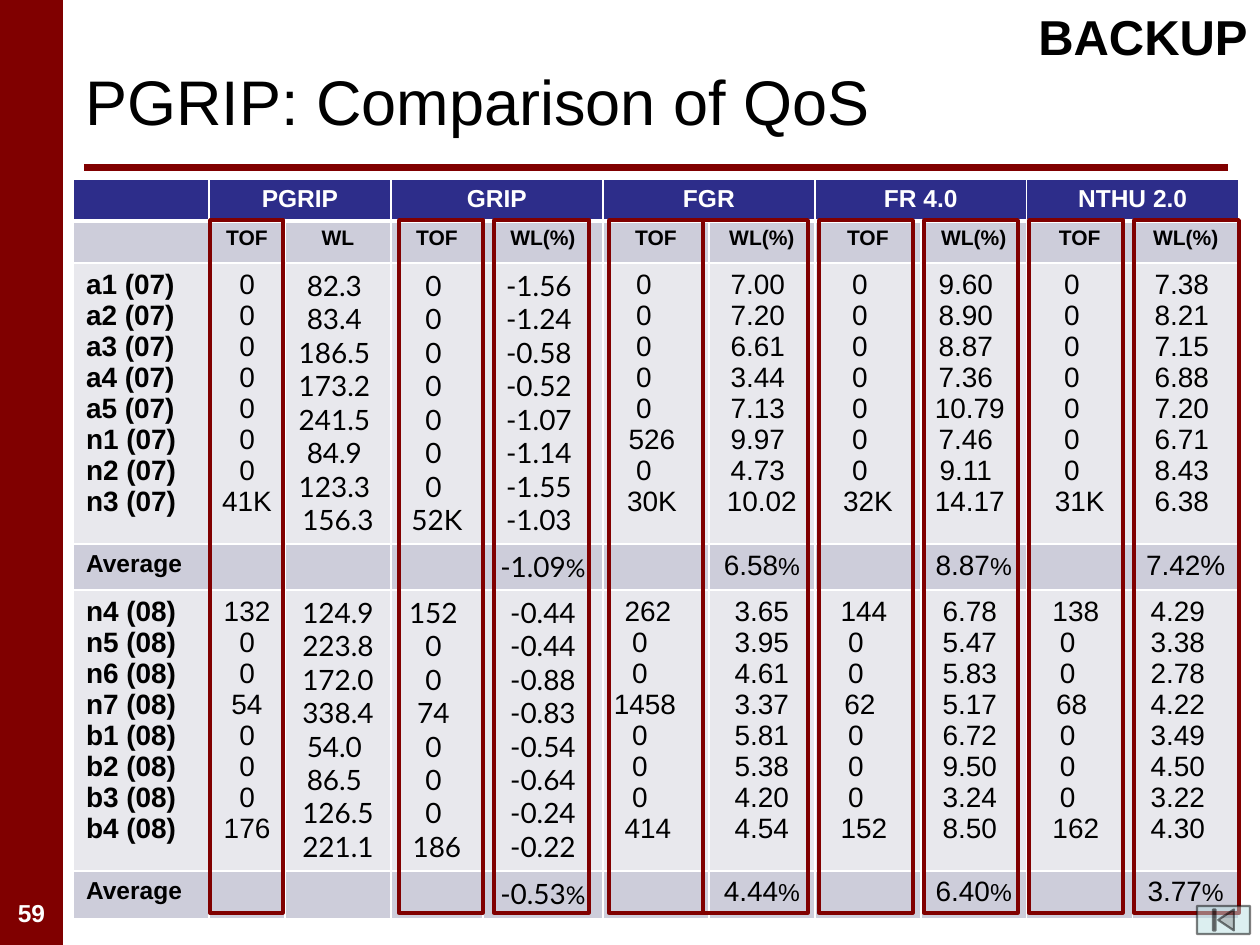
"""Build the PGRIP quality comparison slide."""
from dataclasses import dataclass

from lxml import etree
from pptx import Presentation
from pptx.dml.color import RGBColor
from pptx.enum.shapes import MSO_CONNECTOR, MSO_SHAPE
from pptx.enum.text import MSO_ANCHOR, PP_ALIGN
from pptx.oxml.ns import qn
from pptx.util import Emu, Pt

LEFT, CENTER, RIGHT = PP_ALIGN.LEFT, PP_ALIGN.CENTER, PP_ALIGN.RIGHT
TOP, MIDDLE = MSO_ANCHOR.TOP, MSO_ANCHOR.MIDDLE
RECTANGLE = MSO_SHAPE.RECTANGLE
BEGINNING_BUTTON = MSO_SHAPE.ACTION_BUTTON_BEGINNING
STRAIGHT = MSO_CONNECTOR.STRAIGHT


@dataclass(frozen=True)
class Theme:
    """Colours, fonts and type sizes of the slide."""

    maroon: str = "800000"
    navy: str = "2D2D8A"
    band: str = "CDCDDA"
    body: str = "E8E8ED"
    button: str = "BBE0E3"
    white: str = "FFFFFF"
    black: str = "000000"
    font: str = "Arial"
    data_font: str = "Lato"
    title: int = 36
    tag: int = 28
    values: int = 16
    labels: int = 14
    subheads: int = 12


THEME = Theme()
EMU_PER_PX = 914400 / 126
SPACE_PX, DIGIT_PX, DATA_WIDTH = 8, 16, 106
MARGIN_X, MARGIN_Y = 13, 6
COLUMN_WIDTHS = [136, 76, 106, 92, 120] + [DATA_WIDTH] * 6
ROW_HEIGHTS = [42, 42, 281, 46, 281, 48]
ROW_FILLS = [THEME.navy, THEME.band, THEME.body, THEME.band, THEME.body, THEME.band]
METHODS = ["PGRIP", "GRIP", "FGR", "FR 4.0", "NTHU 2.0"]
SUBHEADS = ["TOF", "WL"] + ["TOF", "WL(%)"] * 4
LATO_COLUMNS = (2, 3, 4)
HIGHLIGHTS = [(210, 73), (399, 84), (494, 95), (609, 94), (703, 105),
              (819, 94), (924, 94), (1029, 94), (1134, 105)]
NAMES = {2: "a1 a2 a3 a4 a5 n1 n2 n3", 4: "n4 n5 n6 n7 b1 b2 b3 b4"}
YEARS = {2: "07", 4: "08"}
BROKEN_LINES = {
    (2, 2): "82.3 \v83.4 \v186.5 \v173.2 \v241.5 \v84.9 \v123.3 \v156.3",
    (2, 3): "0 \v0 \v0 \v0 \v0 \v0 \v0 \v52K",
    (4, 2): "124.9\v223.8\v172.0\v338.4\v54.0 \v86.5 \v126.5\v221.1",
    (4, 3): "152 \v0 \v0 \v74 \v0 \v0 \v0 \v186",
}
VALUES = {
    (2, 1): ("0 0 0 0 0 0 0 41K", 0),
    (2, 4): ("-1.56 -1.24 -0.58 -0.52 -1.07 -1.14 -1.55 -1.03", 6),
    (2, 5): ("0 0 0 0 0 526 0 30K", 4),
    (2, 6): ("7.00 7.20 6.61 3.44 7.13 9.97 4.73 10.02", 5),
    (2, 7): ("0 0 0 0 0 0 0 32K", 3),
    (2, 8): ("9.60 8.90 8.87 7.36 10.79 7.46 9.11 14.17", 6),
    (2, 9): ("0 0 0 0 0 0 0 31K", 3),
    (2, 10): ("7.38 8.21 7.15 6.88 7.20 6.71 8.43 6.38", 5),
    (4, 1): ("132 0 0 54 0 0 0 176", 0),
    (4, 4): ("-0.44 -0.44 -0.88 -0.83 -0.54 -0.64 -0.24 -0.22", 0),
    (4, 5): ("262 0 0 1458 0 0 0 414", 5),
    (4, 6): ("3.65 3.95 4.61 3.37 5.81 5.38 4.20 4.54", 0),
    (4, 7): ("144 0 0 62 0 0 0 152", 4),
    (4, 8): ("6.78 5.47 5.83 5.17 6.72 9.50 3.24 8.50", 5),
    (4, 9): ("138 0 0 68 0 0 0 162", 4),
    (4, 10): ("4.29 3.38 2.78 4.22 3.49 4.50 3.22 4.30", 6),
}
AVERAGES = {3: ["-1.09", "6.58", "8.87", "7.42"], 5: ["-0.53", "4.44", "6.40", "3.77"]}


def px(length):
    """Turn pixels into EMU."""
    return Emu(round(length * EMU_PER_PX))


def add_run(paragraph, text, size, color=THEME.black, **formats):
    """Add text to a paragraph, with vertical tabs as line breaks."""
    for index, line in enumerate(text.split("\v")):
        if index:
            paragraph.add_line_break()
        run = paragraph.add_run()
        run.text = line
        settings = {"name": THEME.font, "bold": False, "size": Pt(size)} | formats
        for name, value in settings.items():
            setattr(run.font, name, value)
        run.font.color.rgb = RGBColor.from_string(color)


def add_text(slide, box, text, size, align=LEFT, anchor=TOP, **formats):
    """Add a one-line text box."""
    frame = slide.shapes.add_textbox(*map(px, box)).text_frame
    frame.word_wrap, frame.vertical_anchor = True, anchor
    frame.paragraphs[0].alignment = align
    add_run(frame.paragraphs[0], text, size, **formats)


def add_box(slide, kind, box, fill=None, line=None, width=2, alpha=None):
    """Add a preset shape with optional fill, outline and opacity percentage."""
    shape = slide.shapes.add_shape(kind, *map(px, box))
    shape.shadow.inherit = False
    for part, color in ((shape.fill, fill), (shape.line.fill, line)):
        if color is None:
            part.background()
        else:
            part.solid()
            part.fore_color.rgb = RGBColor.from_string(color)
    if line:
        shape.line.width = Pt(width)
    if alpha:
        for color in list(shape._element.spPr.iter(qn("a:srgbClr"))):
            etree.SubElement(color, qn("a:alpha"), val=str(alpha * 1000))


def add_rule(slide, start, end, width):
    """Add a straight maroon rule."""
    rule = slide.shapes.add_connector(STRAIGHT, *map(px, start + end))
    rule.line.color.rgb = RGBColor.from_string(THEME.maroon)
    rule.line.width = Pt(width)
    etree.SubElement(rule._element.spPr, qn("a:effectLst"))


def style_cell(cell, row):
    """Set the margins, white borders and fill of a cell."""
    cell.margin_left = cell.margin_right = px(MARGIN_X)
    cell.margin_top = cell.margin_bottom = px(MARGIN_Y)
    properties = cell._tc.get_or_add_tcPr()
    for side in ("lnL", "lnR", "lnT", "lnB"):
        thick = (row == 0 and side == "lnB") or (row == 1 and side == "lnT")
        border = etree.SubElement(properties, qn(f"a:{side}"), w=str(Pt(3 if thick else 1)))
        fill = etree.SubElement(border, qn("a:solidFill"))
        etree.SubElement(fill, qn("a:srgbClr"), val=THEME.white)
    cell.fill.solid()
    cell.fill.fore_color.rgb = RGBColor.from_string(ROW_FILLS[row])


def fill_label(cell, text, size, align=CENTER, **formats):
    """Write one bold label in a cell."""
    cell.text_frame.paragraphs[0].alignment = align
    add_run(cell.text_frame.paragraphs[0], text, size, bold=True, **formats)


def fill_lines(cell, lines, align=CENTER, slots=0, **formats):
    """Write one paragraph per line, moved left of centre by the unused character slots."""
    gaps = [max(slots - len(line), 0) for line in lines]
    shift = SPACE_PX * max(gaps)
    if slots:
        cell.margin_left, cell.margin_right = px(0), px(shift)
    for index, (line, gap) in enumerate(zip(lines, gaps)):
        frame = cell.text_frame
        paragraph = frame.add_paragraph() if index else frame.paragraphs[0]
        paragraph.alignment = align
        if slots:
            room = DATA_WIDTH - shift - DIGIT_PX * len(line)
            indent = px(min(shift - SPACE_PX * gap, room))
            paragraph._p.get_or_add_pPr().set("marL", str(indent))
        add_run(paragraph, line, THEME.values, **formats)


def data_font(column):
    """Return the font of a data column."""
    return THEME.data_font if column in LATO_COLUMNS else THEME.font


def add_results(slide):
    """Add the results table."""
    size = (len(ROW_HEIGHTS), len(COLUMN_WIDTHS))
    box = (73, 179, sum(COLUMN_WIDTHS), sum(ROW_HEIGHTS))
    table = slide.shapes.add_table(*size, *map(px, box)).table
    table.first_row = table.horz_banding = False
    for column, width in zip(table.columns, COLUMN_WIDTHS):
        column.width = px(width)
    for index, height in enumerate(ROW_HEIGHTS):
        table.rows[index].height = px(height)
        for cell in table.rows[index].cells:
            style_cell(cell, index)
    for index, method in enumerate(METHODS):
        first = 2 * index + 1
        table.cell(0, first).merge(table.cell(0, first + 1))
        fill_label(table.cell(0, first), method, THEME.labels, color=THEME.white)
    for column, subhead in enumerate(SUBHEADS, 1):
        fill_label(table.cell(1, column), subhead, THEME.subheads)
    for row, names in NAMES.items():
        lines = [f"{name} ({YEARS[row]})" for name in names.split()]
        fill_lines(table.cell(row, 0), lines, LEFT, bold=True)
    for (row, column), text in BROKEN_LINES.items():
        fill_lines(table.cell(row, column), [text], name=data_font(column))
    for (row, column), (text, slots) in VALUES.items():
        fill_lines(table.cell(row, column), text.split(), slots=slots, name=data_font(column))
    for row, averages in AVERAGES.items():
        fill_label(table.cell(row, 0), "Average", THEME.labels, LEFT)
        for column, average in zip(range(4, 11, 2), averages):
            cell = table.cell(row, column)
            fill_lines(cell, [average], name=data_font(column))
            percent_size = THEME.values if average == "7.42" else THEME.labels
            add_run(cell.text_frame.paragraphs[0], "%", percent_size, name=data_font(column))
    for cell in table.iter_cells():
        if not cell.text_frame.text:
            paragraph = cell.text_frame.paragraphs[0]._p
            etree.SubElement(paragraph, qn("a:endParaRPr"), sz=str(THEME.subheads * 100))


def main():
    """Build and save the slide."""
    presentation = Presentation()
    presentation.slide_width, presentation.slide_height = px(1260), px(945)
    slide = presentation.slides.add_slide(presentation.slide_layouts[6])
    add_box(slide, RECTANGLE, (0, 0, 63, 945), fill=THEME.maroon)
    add_rule(slide, (84, 168), (1228, 168), 4)
    add_text(slide, (0, 892, 63, 42), "59", THEME.labels, CENTER, color=THEME.white, bold=True)
    add_text(slide, (73, 32, 1155, 136), "PGRIP: Comparison of QoS", THEME.title, anchor=MIDDLE)
    add_results(slide)
    for left, width in HIGHLIGHTS:
        add_box(slide, RECTANGLE, (left, 220, width, 693), line=THEME.maroon)
    add_text(slide, (1008, 0, 252, 72), "BACKUP", THEME.tag, RIGHT, bold=True)
    add_box(slide, BEGINNING_BUTTON, (1197, 906, 53, 28), THEME.button, THEME.black, 1.25, 50)
    presentation.save("out.pptx")


if __name__ == "__main__":
    main()
